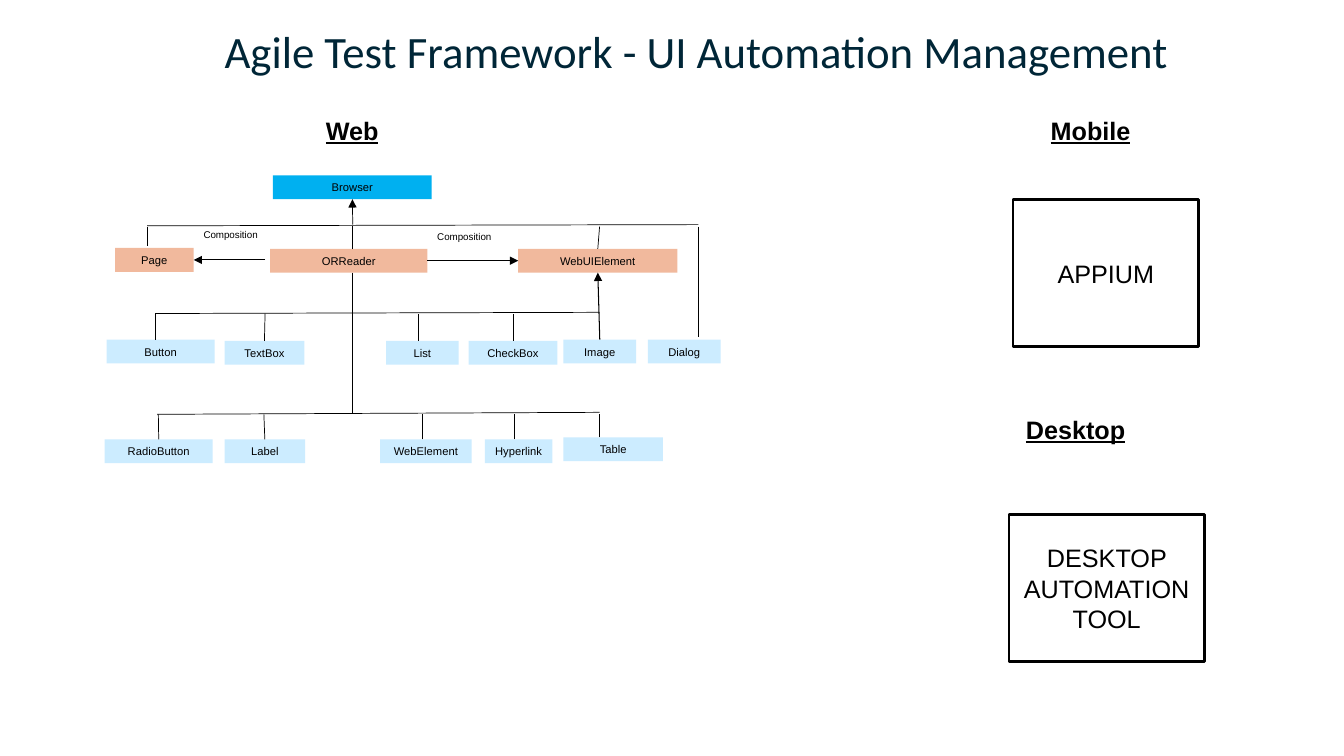
from lxml.etree import SubElement
from pptx import Presentation
from pptx.dml.color import RGBColor
from pptx.enum.shapes import MSO_CONNECTOR, MSO_SHAPE
from pptx.enum.text import MSO_ANCHOR, PP_ALIGN
from pptx.oxml.ns import qn
from pptx.util import Cm, Pt

BLACK = RGBColor(0x00, 0x00, 0x00)
WHITE = RGBColor(0xFF, 0xFF, 0xFF)
NAVY = RGBColor(0x00, 0x26, 0x37)
BLUE = RGBColor(0x00, 0xB0, 0xF0)
SALMON = RGBColor(0xF1, 0xB9, 0x9D)
PALE_BLUE = RGBColor(0xCC, 0xEC, 0xFF)

TOP, LEFT, BOTTOM, RIGHT = range(4)
BOX_HEIGHT = 0.6
JOIN_TOLERANCE = Cm(0.06)

ELEMENT_ROWS = [
    (7.9, [
        ("Button", 2.69, 8.56, 2.72, 3.91),
        ("TextBox", 5.66, 8.59, 2.01, 6.68),
        ("List", 9.73, 8.59, 1.83, 10.54),
        ("CheckBox", 11.81, 8.59, 2.24, 12.93),
    ]),
    (10.44, [
        ("RadioButton", 2.64, 11.07, 2.72, 3.99),
        ("Label", 5.66, 11.07, 2.03, 6.65),
        ("WebElement", 9.58, 11.07, 2.31, 10.64),
        ("Hyperlink", 12.22, 11.07, 1.7, 12.95),
        ("Table", 14.2, 11.02, 2.51, 15.11),
    ]),
]


class Diagram:
    """Draws styled elements, measured in centimetres, on one slide."""

    def __init__(self, slide):
        self.slide = slide

    def set_text(self, frame, text, size, color=BLACK, font="Arial", align=PP_ALIGN.CENTER):
        frame.text = text
        paragraph = frame.paragraphs[0]
        paragraph.alignment = align
        paragraph.font.size = Pt(size)
        paragraph.font.name = font
        paragraph.font.color.rgb = color
        return paragraph

    def box(self, text, left, top, width, height=BOX_HEIGHT, fill=PALE_BLUE, size=8, border=0):
        shape = self.slide.shapes.add_shape(
            MSO_SHAPE.RECTANGLE, Cm(left), Cm(top), Cm(width), Cm(height))
        shape.shadow.inherit = False
        shape.fill.solid()
        shape.fill.fore_color.rgb = fill
        if border:
            shape.line.color.rgb = BLACK
            shape.line.width = Pt(border)
        else:
            shape.line.fill.background()
        frame = shape.text_frame
        frame.word_wrap = True
        frame.margin_left = frame.margin_right = 0
        frame.vertical_anchor = MSO_ANCHOR.MIDDLE
        self.set_text(frame, text, size)
        return shape

    def label(self, text, left, top, width, height, size, **style):
        shape = self.slide.shapes.add_textbox(Cm(left), Cm(top), Cm(width), Cm(height))
        shape.text_frame.word_wrap = True
        return self.set_text(shape.text_frame, text, size, **style)

    def heading(self, text, left, top, width):
        paragraph = self.label(text, left, top, width, 1.02, 18)
        paragraph.font.bold = True
        paragraph.font.underline = True

    def line(self, start, end, width=0.5, arrow=False, begin=None, finish=None):
        connector = self.slide.shapes.add_connector(
            MSO_CONNECTOR.STRAIGHT, *map(Cm, start + end))
        connector.line.color.rgb = BLACK
        connector.line.width = Pt(width)
        if begin:
            connector.begin_connect(*begin)
        if finish:
            connector.end_connect(*finish)
        properties = connector._element.spPr
        if arrow:
            SubElement(properties.find(qn("a:ln")), qn("a:tailEnd"), type="triangle")
        SubElement(properties, qn("a:effectLst"))

    def drop(self, shape, x, bar):
        centered = abs(shape.left + shape.width // 2 - Cm(x)) < JOIN_TOLERANCE
        self.line((x, shape.top.cm), (x, bar), begin=(shape, TOP) if centered else None)


def main():
    presentation = Presentation()
    presentation.slide_width = Cm(33.87)
    presentation.slide_height = Cm(19.05)
    diagram = Diagram(presentation.slides.add_slide(presentation.slide_layouts[6]))

    diagram.label("Agile Test Framework - UI Automation Management",
                  5.41, 0.48, 26.24, 2.29, 32, color=NAVY, font="Calibri", align=PP_ALIGN.LEFT)
    diagram.heading("Web", 7.95, 2.77, 1.85)
    diagram.heading("Mobile", 25.96, 2.77, 3.05)
    diagram.heading("Desktop", 25.58, 10.31, 3.05)

    browser = diagram.box("Browser", 6.88, 4.42, 4, fill=BLUE)
    page = diagram.box("Page", 2.9, 6.25, 1.98, fill=SALMON)
    reader = diagram.box("ORReader", 6.81, 6.27, 3.96, fill=SALMON)
    web_element = diagram.box("WebUIElement", 13.06, 6.27, 4.01, fill=SALMON)
    image = diagram.box("Image", 14.2, 8.56, 1.83)
    diagram.box("Dialog", 16.33, 8.56, 1.83)

    diagram.line((3.71, 5.69), (17.6, 5.66))
    diagram.line((3.91, 7.9), (15.11, 7.87))
    diagram.line((3.96, 10.44), (15.11, 10.39))
    diagram.line((3.71, 5.71), (3.71, 6.2))
    diagram.line((17.6, 5.71), (17.6, 8.48), 0.75)
    diagram.line((8.89, 5.69), (8.89, 6.27), 0.75)
    diagram.line((8.89, 6.87), (8.89, 10.44))
    diagram.line((15.11, 5.71), (15.11, 6.27), finish=(web_element, TOP))
    diagram.line((8.89, 5.66), (8.89, 5.02), arrow=True, finish=(browser, BOTTOM))
    diagram.line((6.68, 6.55), (4.88, 6.55), 0.75, True, finish=(page, RIGHT))
    diagram.line((10.77, 6.57), (13.06, 6.57), 0.75, True, (reader, RIGHT), (web_element, LEFT))
    diagram.line((15.11, 8.56), (15.11, 6.87), 0.75, True, (image, TOP), (web_element, BOTTOM))

    for bar, elements in ELEMENT_ROWS:
        for name, left, top, width, drop_x in elements:
            diagram.drop(diagram.box(name, left, top, width), drop_x, bar)

    for left, top in ((4.88, 5.64), (10.77, 5.69)):
        diagram.label("Composition", left, top, 2.72, 0.56, 7, align=PP_ALIGN.LEFT)

    diagram.box("APPIUM", 25.53, 5.03, 4.68, 3.71, WHITE, 18, 2)
    diagram.box("DESKTOP AUTOMATION TOOL", 25.43, 12.97, 4.92, 3.7, WHITE, 18, 2)

    presentation.save("out.pptx")


if __name__ == "__main__":
    main()
